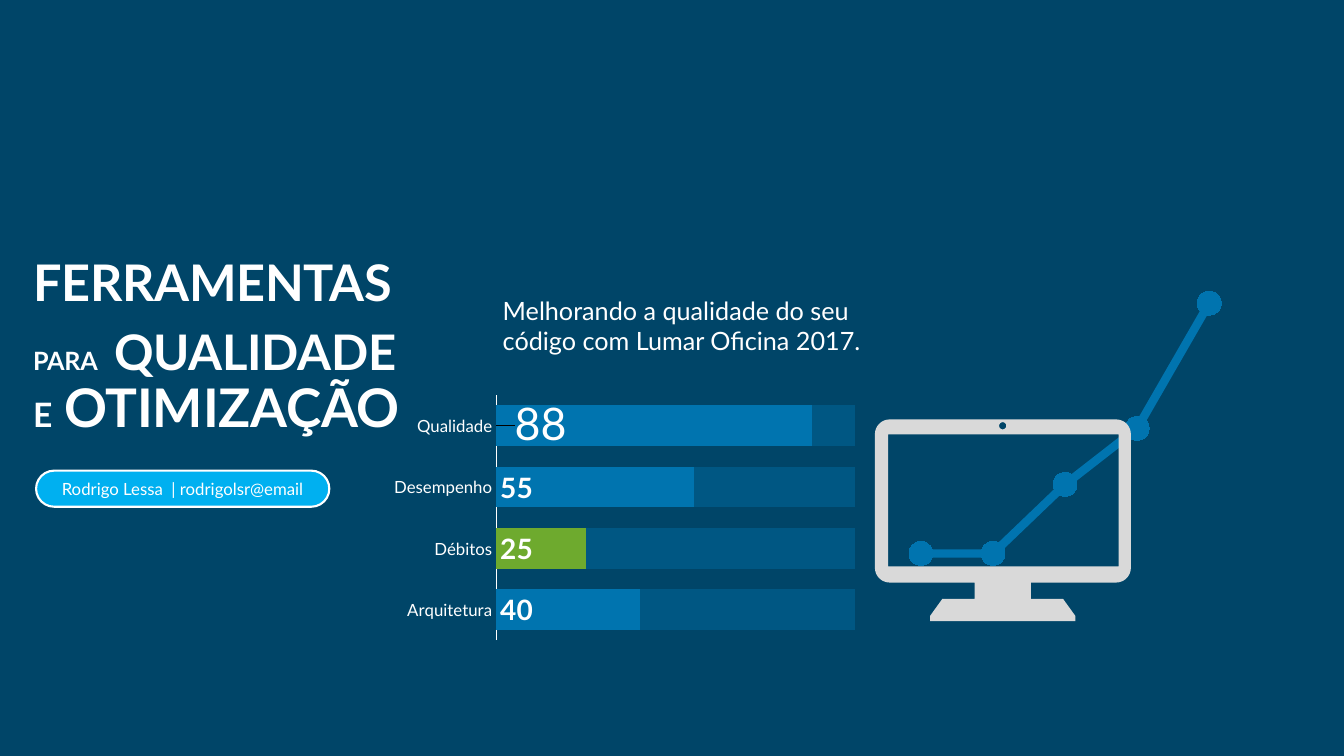
from math import cos, sin, radians

from pptx import Presentation
from pptx.chart.data import CategoryChartData
from pptx.dml.color import RGBColor
from pptx.enum.chart import (XL_CHART_TYPE, XL_LABEL_POSITION, XL_MARKER_STYLE,
                             XL_TICK_LABEL_POSITION, XL_TICK_MARK)
from pptx.enum.shapes import MSO_SHAPE
from pptx.enum.text import MSO_ANCHOR, MSO_AUTO_SIZE, PP_ALIGN
from pptx.oxml import parse_xml
from pptx.oxml.ns import nsdecls, qn
from pptx.util import Cm, Pt

FONT = "Lato"
COLORS = {"navy": "004568", "blue": "0074AF", "track": "005783", "green": "6EAA2E",
          "sky": "00B0F0", "gray": "D9D9D9", "white": "FFFFFF"}


def rgb(name):
    """Return the named palette colour."""
    return RGBColor.from_string(COLORS[name])


def paint(fill, name):
    """Make a fill solid in a palette colour."""
    fill.solid()
    fill.fore_color.rgb = rgb(name)


def arc(x, y, radius, start, end):
    """Return points in cm along an arc, angles in degrees."""
    steps = max(6, abs(end - start) // 10)
    angles = [radians(start + (end - start) * i / steps) for i in range(steps + 1)]
    return [(x + radius * cos(a), y + radius * sin(a)) for a in angles]


class Deck:
    """Holds the style and the current slide."""

    def __init__(self, prs):
        """Add a title-only slide with the deck background."""
        self.s = prs.slides.add_slide(prs.slide_layouts[5])
        paint(self.s.background.fill, "navy")

    def style(self, font, size, bold=False):
        """Format a font in the deck style."""
        font.name, font.size, font.bold = FONT, Pt(size), bold
        font.color.rgb = rgb("white")

    def run(self, p, text, size, bold=False):
        """Append a styled run."""
        r = p.add_run()
        r.text = text
        self.style(r.font, size, bold)
        return r

    def title(self, box, parts):
        """Place the title and fill it with (text, size) runs."""
        sp = self.s.shapes.title
        sp.left, sp.top, sp.width, sp.height = map(Cm, box)
        tf = sp.text_frame
        tf.word_wrap, tf.auto_size = True, MSO_AUTO_SIZE.NONE
        tf.vertical_anchor = MSO_ANCHOR.TOP
        p = tf.paragraphs[0]
        p.alignment, p.line_spacing = PP_ALIGN.LEFT, 0.85
        for text, size in parts:
            r = self.run(p, text, size, True)
            r.font._element.set("spc", "-20")

    def text(self, box, text, size):
        """Add a wrapping text box."""
        tf = self.s.shapes.add_textbox(*map(Cm, box)).text_frame
        tf.word_wrap = True
        self.run(tf.paragraphs[0], text, size)

    def pill(self, box, text, size):
        """Add a fully rounded label."""
        sp = self.s.shapes.add_shape(MSO_SHAPE.ROUNDED_RECTANGLE, *map(Cm, box))
        sp.adjustments[0] = 0.5
        sp.shadow.inherit = False
        paint(sp.fill, "sky")
        sp.line.color.rgb, sp.line.width = rgb("white"), Pt(1.5)
        tf = sp.text_frame
        tf.margin_left = tf.margin_right = 0
        tf.vertical_anchor = MSO_ANCHOR.MIDDLE
        p = tf.paragraphs[0]
        p.alignment = PP_ALIGN.CENTER
        self.run(p, text, size)

    def outline(self, contours, color):
        """Add one filled freeform; inner contours become holes."""
        builder = None
        for contour in contours:
            points = [(Cm(x), Cm(y)) for x, y in contour]
            if builder is None:
                builder = self.s.shapes.build_freeform(*points[0])
            else:
                builder.move_to(*points[0])
            builder.add_line_segments(points[1:], close=True)
        sp = builder.convert_to_shape()
        sp.shadow.inherit = False
        paint(sp.fill, color)
        sp.line.fill.background()

    def chart(self, kind, box, cats, rows, layout):
        """Add a transparent chart with a fixed inner plot area."""
        data = CategoryChartData()
        data.categories = cats
        for i, values in enumerate(rows, 1):
            data.add_series(f"Series {i}", values)
        chart = self.s.shapes.add_chart(kind, *map(Cm, box), data).chart
        self.style(chart.font, 10)
        chart.has_legend = chart.has_title = False
        chart.value_axis.visible = False
        chart.value_axis.has_major_gridlines = False
        space = chart._chartSpace
        space.find(qn("c:txPr")).addprevious(parse_xml(
            f'<c:spPr {nsdecls("c", "a")}><a:noFill/><a:ln><a:noFill/></a:ln></c:spPr>'))
        plot_area = space.find(".//" + qn("c:plotArea"))
        for old in plot_area.findall(qn("c:layout")):
            plot_area.remove(old)
        edges = "".join(f'<c:{k}Mode val="edge"/>' for k in "xy")
        sizes = "".join(f'<c:{k} val="{v}"/>' for k, v in zip("xywh", layout))
        plot_area.insert(0, parse_xml(
            f'<c:layout {nsdecls("c")}><c:manualLayout><c:layoutTarget val="inner"/>'
            f'{edges}{sizes}</c:manualLayout></c:layout>'))
        return chart

    def score_bars(self, box, scores, highlight, featured):
        """Add progress bars, one in green and one with a large label."""
        cats, values = list(scores), list(scores.values())
        chart = self.chart(XL_CHART_TYPE.BAR_STACKED_100, box, cats,
                           [values, [100 - v for v in values]], (0.23, 0.02, 0.75, 0.96))
        plot, axis = chart.plots[0], chart.category_axis
        plot.gap_width, plot.overlap, plot.vary_by_categories = 50, 100, False
        axis.major_tick_mark = axis.minor_tick_mark = XL_TICK_MARK.NONE
        axis.tick_label_position = XL_TICK_LABEL_POSITION.NEXT_TO_AXIS
        axis.tick_labels.offset = 0
        self.style(axis.tick_labels.font, 12)
        axis.format.line.color.rgb, axis.format.line.width = rgb("white"), Pt(0.75)
        done, rest = plot.series
        paint(done.format.fill, "blue")
        paint(rest.format.fill, "track")
        paint(done.points[cats.index(highlight)].format.fill, "green")
        labels = done.data_labels
        labels.show_value, labels.position = True, XL_LABEL_POSITION.INSIDE_BASE
        self.style(labels.font, 20, True)
        label = done.points[cats.index(featured)].data_label
        self.run(label.text_frame.paragraphs[0], str(scores[featured]), 32)
        label.position = XL_LABEL_POSITION.INSIDE_BASE
        idx = labels._element.find(qn("c:dLbl")).find(qn("c:idx"))
        idx.addnext(parse_xml(
            f'<c:layout {nsdecls("c")}><c:manualLayout><c:x val="0.03"/>'
            '<c:y val="-0.01"/></c:manualLayout></c:layout>'))

    def growth_line(self, box, values):
        """Add a thick line with round markers and no axes."""
        cats = [str(i) for i in range(1, len(values) + 1)]
        chart = self.chart(XL_CHART_TYPE.LINE_MARKERS, box, cats, [values],
                           (0, 0.06, 0.98, 0.94))
        chart.category_axis.visible = False
        chart.value_axis.minimum_scale, chart.value_axis.maximum_scale = 26, 105
        chart.plots[0].vary_by_categories = False
        line = chart.plots[0].series[0]
        line.smooth = False
        line.format.line.color.rgb, line.format.line.width = rgb("blue"), Pt(6)
        line.marker.style, line.marker.size = XL_MARKER_STYLE.CIRCLE, 17
        paint(line.marker.format.fill, "blue")
        line.marker.format.line.color.rgb = rgb("blue")

    def monitor(self):
        """Draw the monitor with its screen and camera cut out."""
        left, top, right, bottom, radius = 22.05, 10.57, 28.5, 14.68, 0.37
        x1, x2, y1, y2 = left + radius, right - radius, top + radius, bottom - radius
        middle = 25.27
        stand = [(0.71, bottom), (0.71, 15.09), (1.52, 15.09), (1.83, 15.52), (1.83, 15.65)]
        body = (arc(x1, y1, radius, 180, 270) + arc(x2, y1, radius, 270, 360)
                + arc(x2, y2, radius, 0, 90)
                + [(middle + dx, y) for dx, y in stand]
                + [(middle - dx, y) for dx, y in reversed(stand)]
                + arc(x1, y2, radius, 90, 180))
        screen = [(22.38, 10.95), (22.38, 14.27), (28.19, 14.27), (28.19, 10.95)]
        camera = arc(middle, 10.73, 0.09, 360, 0)
        self.outline([body, screen, camera], "gray")


prs = Presentation()
prs.slide_width, prs.slide_height = Cm(33.87), Cm(19.05)
deck = Deck(prs)
deck.title((0.58, 6.1, 9.88, 5.13), [
    ("FERRAMENTAS", 36), (" ", 48), ("PARA", 18), (" ", 48),
    ("QUALIDADE ", 35), ("E", 24), (" ", 35), ("OTIMIZAÇÃO", 38)])
deck.score_bars((9.73, 9.83, 12.07, 6.43),
                {"Arquitetura": 40, "Débitos": 25, "Desempenho": 55, "Qualidade": 88},
                highlight="Débitos", featured="Qualidade")
deck.text((12.42, 7.32, 9.63, 1.8),
          "Melhorando a qualidade do seu código com Lumar Oficina 2017.", 18)
deck.growth_line((22.3, 6.55, 9.27, 9.14), [42, 42, 58, 71, 100])
deck.monitor()
deck.pill((0.91, 11.86, 7.39, 0.91), "Rodrigo Lessa  | rodrigolsr@email", 12)
prs.save("out.pptx")
